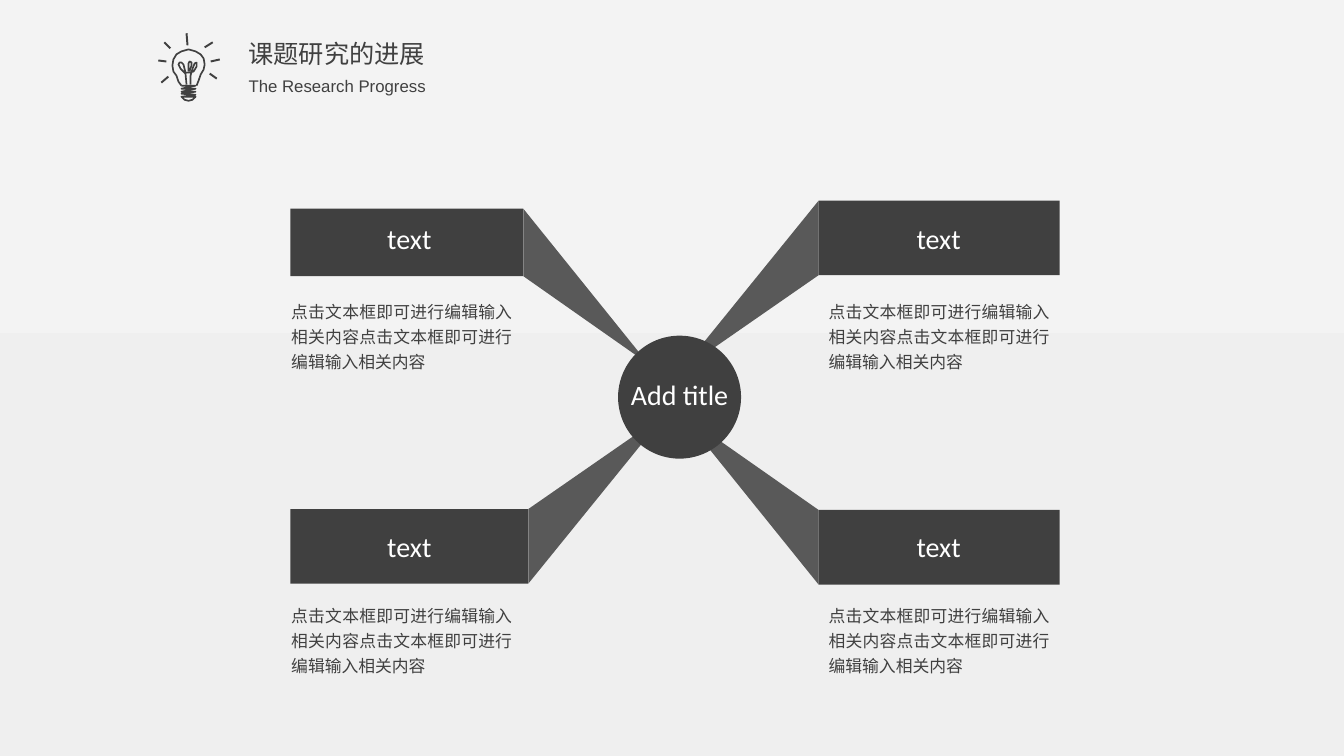
from lxml import etree
from pptx import Presentation
from pptx import util as u
from pptx.dml.color import RGBColor
from pptx.enum import shapes, text
from pptx.oxml import ns

WIDTH, HEIGHT = 13.33, 7.5
DARK, SPOKE, WHITE = "404040", "595959", "FFFFFF"
BACKDROP = [(0.12, "EFEFEF"), (1, "F3F3F3")]
CJK = "Noto Sans CJK SC"

TITLE = "课题研究的进展"
SUBTITLE = "The Research Progress"
HUB = "Add title"
LABEL = "text"
BODY = "点击文本框即可进行编辑输入相关内容" * 2

# Grid: left and right columns, upper and lower rows
LABEL_LEFT, LABEL_TOP = (3.32, 8.57), (2.14, 5.2)
BODY_LEFT, BODY_TOP = (2.79, 8.12), (2.89, 5.91)
# Column, row, banner (left, top, width, height), tip of its spoke
BRANCHES = [
    (0, 1, (2.88, 5.05, 2.36, 0.74), (6.61, 4.1)),
    (1, 1, (8.12, 5.06, 2.39, 0.74), (6.75, 4.1)),
    (0, 0, (2.88, 2.07, 2.31, 0.67), (6.43, 3.61)),
    (1, 0, (8.12, 1.99, 2.39, 0.74), (6.75, 3.68)),
]

# Light bulb, in hundredths of an inch
BULB_LINES = {
    "glass": [(180, 85), (177, 81), (175, 75), (172, 71), (171, 65), (172, 59),
              (175, 54), (180, 51), (187, 49), (194, 51), (199, 54), (202, 58),
              (203, 64), (202, 69), (199, 74), (197, 80), (195, 85)],
    "filament": [(185, 84), (184, 73), (179, 68), (177, 64), (178, 62), (180, 62),
                 (182, 64), (184, 72), (188, 72), (192, 71), (195, 66), (195, 62),
                 (193, 63), (191, 68), (189, 75), (189, 84)],
    "loop": [(187, 71), (187, 63), (188, 61), (190, 62), (190, 65), (188, 71)],
    "screw": [(180, 85), (194, 85), (180, 88), (194, 88), (180, 91), (194, 91),
              (180, 93), (194, 94), (180, 96), (183, 99), (187, 100), (191, 99),
              (194, 96), (180, 96)],
}
RAYS = [
    ((185, 33), (186, 45)), ((211, 42), (203, 47)), ((218, 59), (209, 61)),
    ((215, 78), (208, 73)), ((163, 42), (169, 48)), ((157, 60), (165, 61)),
    ((160, 82), (167, 76)),
]


def rgb(value):
    return RGBColor.from_string(value)


def inches(values):
    return [u.Inches(value) for value in values]


def paint(shape, color):
    shape.shadow.inherit = False
    shape.fill.solid()
    shape.fill.fore_color.rgb = rgb(color)
    shape.line.fill.background()


def ink(line, points):
    line.color.rgb = rgb(DARK)
    line.width = u.Pt(points)


def outline(page, points, close):
    """Draw a path through points given in inches."""
    start, *rest = [inches(point) for point in points]
    builder = page.shapes.build_freeform(*start)
    builder.add_line_segments(rest, close=close)
    return builder.convert_to_shape()


def write(box, bounds, words, size, font, color=DARK,
          align=text.PP_ALIGN.CENTER, spacing=1, anchor=text.MSO_ANCHOR.MIDDLE):
    box.left, box.top, box.width, box.height = inches(bounds)
    frame = box.text_frame
    frame.word_wrap = True
    frame.auto_size = text.MSO_AUTO_SIZE.NONE
    frame.vertical_anchor = anchor
    para = frame.paragraphs[0]
    para.alignment, para.line_spacing = align, spacing
    span = para.add_run()
    span.text = words
    for name, value in {"size": u.Pt(size), "name": font}.items():
        setattr(span.font, name, value)
    span.font.color.rgb = rgb(color)
    etree.SubElement(span.font._element, ns.qn("a:ea"), typeface=font)


def add_text(page, bounds, *args, **kwargs):
    write(page.shapes.add_textbox(*inches(bounds)), bounds, *args, **kwargs)


def draw_bulb(page):
    for points in BULB_LINES.values():
        stroke = outline(page, [(x / 100, y / 100) for x, y in points], False)
        stroke.shadow.inherit = False
        stroke.fill.background()
        ink(stroke.line, 1.2)
    for start, end in RAYS:
        ends = inches(value / 100 for value in start + end)
        ray = page.shapes.add_connector(shapes.MSO_CONNECTOR.STRAIGHT, *ends)
        etree.SubElement(ray._element.spPr, ns.qn("a:effectLst"))
        ink(ray.line, 1.4)


def draw_branches(page):
    for column, row, banner, tip in BRANCHES:
        left, top, width, height = banner
        inner = left if column else left + width
        corners = [(inner, top), tip, (inner, top + height)]
        paint(outline(page, corners, True), SPOKE)
        paint(page.shapes.add_shape(shapes.MSO_SHAPE.RECTANGLE, *inches(banner)), DARK)
        add_text(page, (LABEL_LEFT[column], LABEL_TOP[row], 1.48, 0.44),
                 LABEL, 20, "Calibri", WHITE)
        add_text(page, (BODY_LEFT[column], BODY_TOP[row], 2.39, 0.86), BODY, 12, CJK,
                 align=text.PP_ALIGN.JUSTIFY, spacing=1.25, anchor=text.MSO_ANCHOR.TOP)


def main():
    deck = Presentation()
    deck.slide_width, deck.slide_height = inches((WIDTH, HEIGHT))
    page = deck.slides.add_slide(deck.slide_layouts[5])

    fill = page.background.fill
    fill.gradient()
    fill.gradient_angle = 90
    for stop, (position, color) in zip(fill.gradient_stops, BACKDROP):
        stop.position = position
        stop.color.rgb = rgb(color)

    write(page.shapes.title, (0.63, 0.33, 5.42, 0.4), TITLE, 18, CJK)
    add_text(page, (0.6, 0.7, 5.49, 0.3), SUBTITLE, 12, "Arial")
    draw_bulb(page)
    draw_branches(page)
    hub = page.shapes.add_shape(shapes.MSO_SHAPE.OVAL, *inches((6.13, 3.33, 1.22, 1.22)))
    paint(hub, DARK)
    add_text(page, (6, 3.69, 1.48, 0.44), HUB, 20, "Calibri", WHITE)
    deck.save("out.pptx")


if __name__ == "__main__":
    main()
